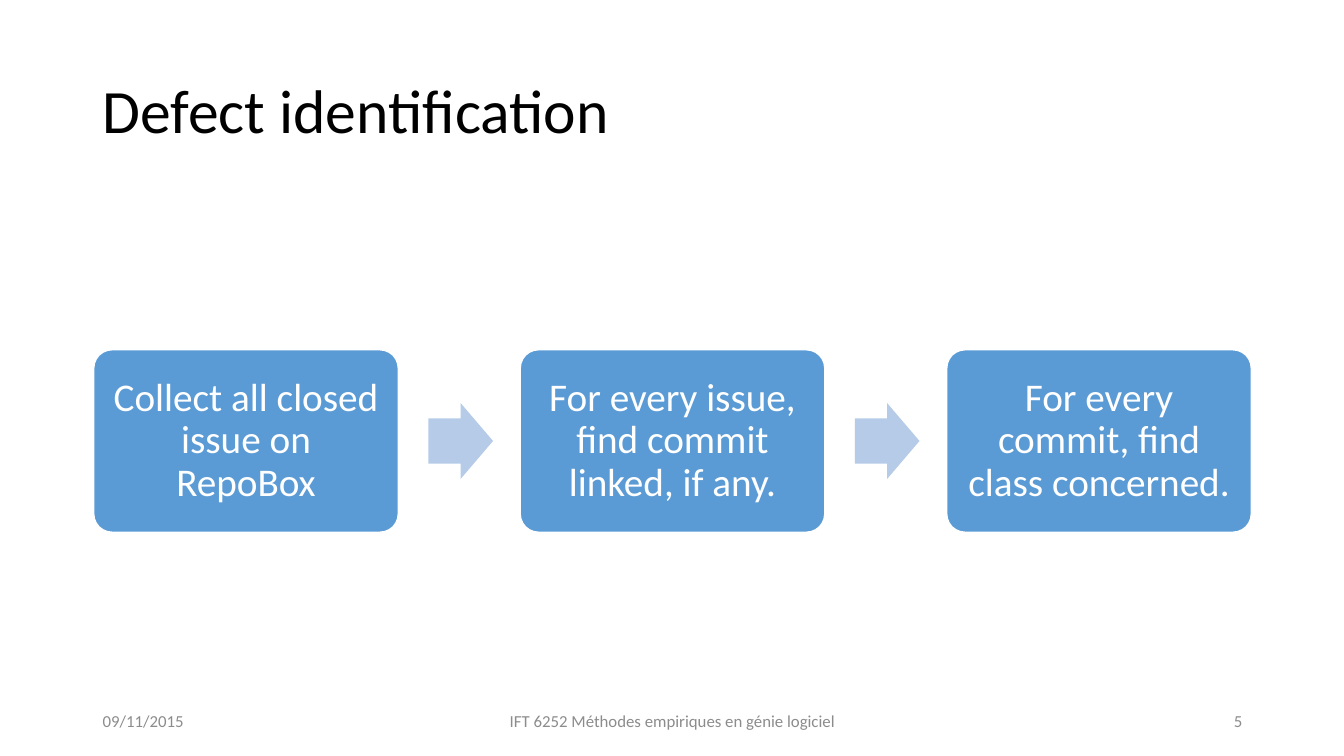
from pptx import Presentation
from pptx.dml.color import RGBColor
from pptx.enum import shapes, text
from pptx.util import Inches, Pt

TITLE = "Defect identification"
STEPS = [
    "Collect all closed issue on RepoBox",
    "For every issue, find commit linked, if any.",
    "For every commit, find class concerned.",
]
LEFT, CENTER, RIGHT = text.PP_ALIGN.LEFT, text.PP_ALIGN.CENTER, text.PP_ALIGN.RIGHT
FOOTER = [  # text, left, width, alignment
    ("09/11/2015", 0.92, 3, LEFT),
    ("IFT 6252 Méthodes empiriques en génie logiciel", 4.42, 4.5, CENTER),
    ("5", 9.42, 3, RIGHT),
]

FONT = "Calibri"
BLACK = RGBColor(0x00, 0x00, 0x00)
WHITE = RGBColor(0xFF, 0xFF, 0xFF)
BLUE = RGBColor(0x5B, 0x9B, 0xD5)
PALE_BLUE = RGBColor(0xB5, 0xCB, 0xE7)
GRAY = RGBColor(0x8C, 0x8C, 0x8C)

STEP_LEFT, STEP_PITCH = 0.93, 4.23
STEP_WIDTH, STEP_HEIGHT = 3.02, 1.81
ARROW_WIDTH, ARROW_HEIGHT = 0.64, 0.75
ARROW_GAP = 0.3
FLOW_MIDDLE = 4.375


def write(shape, content, size, color, align=LEFT, line_spacing=1.0,
          inset_x=0.1, inset_y=0.05):
    """Put one formatted, vertically centred paragraph into a shape."""
    frame = shape.text_frame
    frame.word_wrap = True
    frame.auto_size = text.MSO_AUTO_SIZE.NONE
    frame.vertical_anchor = text.MSO_ANCHOR.MIDDLE
    frame.margin_left = frame.margin_right = Inches(inset_x)
    frame.margin_top = frame.margin_bottom = Inches(inset_y)
    paragraph = frame.paragraphs[0]
    paragraph.alignment = align
    paragraph.line_spacing = line_spacing
    run = paragraph.add_run()
    run.text = content
    run.font.name = FONT
    run.font.size = Pt(size)
    run.font.color.rgb = color


def add_flow_shape(slide, kind, left, width, height, fill, adjustments):
    """Add a filled preset shape centred on the flow's middle line."""
    shape = slide.shapes.add_shape(
        kind, Inches(left), Inches(FLOW_MIDDLE - height / 2),
        Inches(width), Inches(height))
    shape.shadow.inherit = False
    shape.fill.solid()
    shape.fill.fore_color.rgb = fill
    shape.line.fill.background()
    for index, value in enumerate(adjustments):
        shape.adjustments[index] = value
    return shape


def add_flow(slide):
    """Draw the steps from left to right with an arrow between neighbours."""
    for index, step in enumerate(STEPS):
        left = STEP_LEFT + index * STEP_PITCH
        box = add_flow_shape(slide, shapes.MSO_SHAPE.ROUNDED_RECTANGLE, left,
                             STEP_WIDTH, STEP_HEIGHT, BLUE, [0.1])
        box.line.color.rgb = WHITE
        box.line.width = Pt(1)
        write(box, step, 28, WHITE, CENTER, 0.9, inset_x=0.12, inset_y=0.12)
        if index < len(STEPS) - 1:
            add_flow_shape(slide, shapes.MSO_SHAPE.RIGHT_ARROW,
                           left + STEP_WIDTH + ARROW_GAP, ARROW_WIDTH,
                           ARROW_HEIGHT, PALE_BLUE, [0.6, 0.5])


presentation = Presentation()
presentation.slide_width, presentation.slide_height = Inches(13.33), Inches(7.5)
slide = presentation.slides.add_slide(presentation.slide_layouts[5])

title = slide.shapes.title
title.left, title.top = Inches(0.92), Inches(0.4)
title.width, title.height = Inches(11.5), Inches(1.45)
write(title, TITLE, 44, BLACK, line_spacing=0.9)

add_flow(slide)

for content, left, width, align in FOOTER:
    box = slide.shapes.add_textbox(Inches(left), Inches(6.95), Inches(width), Inches(0.4))
    write(box, content, 12, GRAY, align)

presentation.save("out.pptx")
